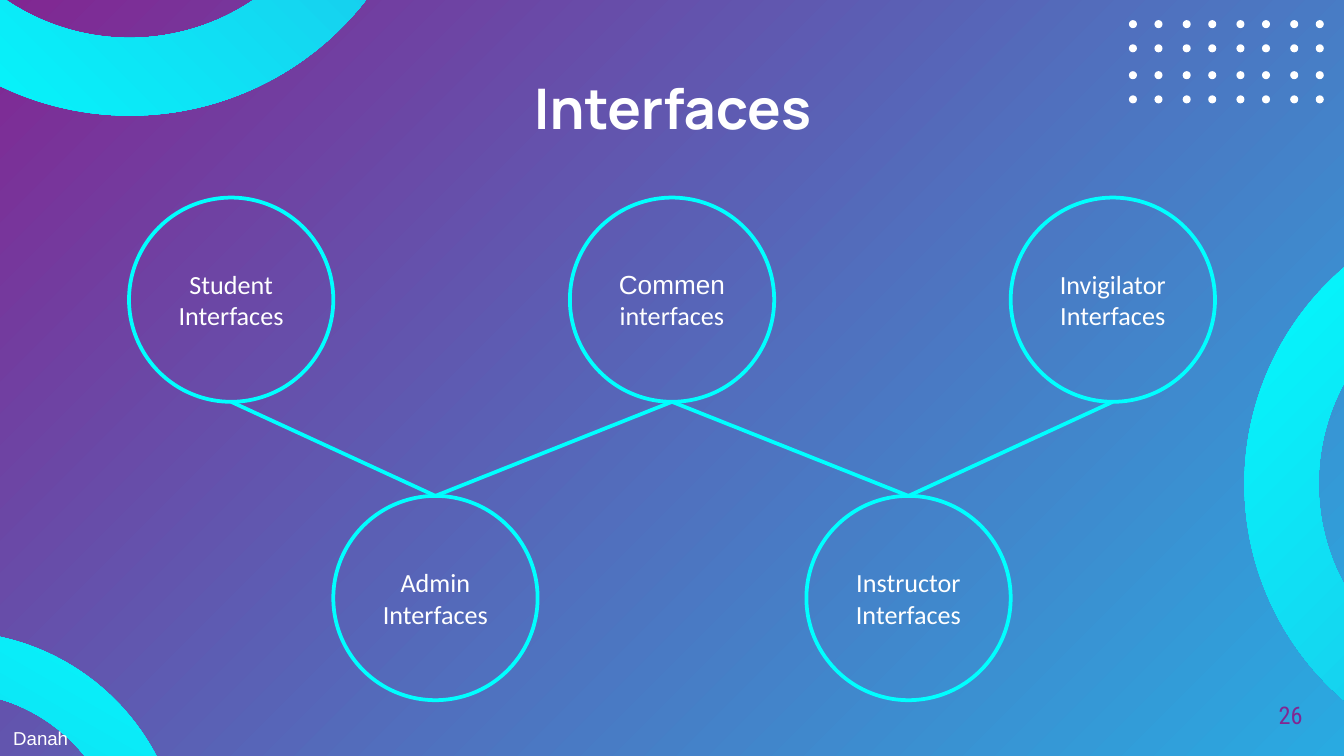
from dataclasses import dataclass
from itertools import product

from pptx import Presentation
from pptx.dml.color import RGBColor
from pptx.enum.shapes import MSO_CONNECTOR, MSO_SHAPE
from pptx.enum.text import MSO_ANCHOR, MSO_AUTO_SIZE, PP_ALIGN
from pptx.oxml.ns import qn
from pptx.util import Inches, Pt
from lxml.etree import SubElement


@dataclass(frozen=True)
class Theme:
    white: str = "FFFFFF"
    purple: str = "812792"
    blue: str = "29AAE1"
    cyan: str = "00FFFF"
    title_font: str = "Manrope"
    label_font: str = "Calibri"
    plain_font: str = "Arial"
    number_font: str = "Roboto Condensed"
    title_size: int = 30
    label_size: int = 14
    number_size: int = 13
    author_size: int = 10
    line_width: int = 2


def set_text(frame, runs, size, color, align=PP_ALIGN.LEFT, bold=False,
             anchor=MSO_ANCHOR.TOP, insets=(0.1, 0.1), wrap=True):
    """Write (text, font) runs as one paragraph; insets are (sides, top and bottom)."""
    frame.auto_size = MSO_AUTO_SIZE.NONE
    frame.word_wrap = wrap
    frame.vertical_anchor = anchor
    frame.margin_left = frame.margin_right = Inches(insets[0])
    frame.margin_top = frame.margin_bottom = Inches(insets[1])
    paragraph = frame.paragraphs[0]
    paragraph.alignment = align
    for text, font_name in runs:
        run = paragraph.add_run()
        run.text = text
        run.font.name = font_name
        run.font.size = Pt(size)
        run.font.bold = bold
        run.font.color.rgb = RGBColor.from_string(color)


def set_gradient(fill, start, end, clockwise_angle):
    fill.gradient()
    fill.gradient_angle = 360 - clockwise_angle
    for stop, color in zip(fill.gradient_stops, (start, end)):
        stop.color.rgb = RGBColor.from_string(color)


class SlideBuilder:
    def __init__(self, slide, theme):
        self.slide = slide
        self.shapes = slide.shapes
        self.theme = theme

    def background(self):
        set_gradient(self.slide.background.fill, self.theme.purple, self.theme.blue, 45)

    def shape(self, kind, left, top, size):
        shape = self.shapes.add_shape(
            kind, Inches(left), Inches(top), Inches(size), Inches(size))
        shape.shadow.inherit = False
        return shape

    def ring(self, left, top, size, rotation):
        ring = self.shape(MSO_SHAPE.DONUT, left, top, size)
        ring.adjustments[0] = 0.13
        ring.rotation = rotation
        ring.line.fill.background()
        set_gradient(ring.fill, self.theme.cyan, self.theme.blue, 135)

    def dot(self, left, top):
        dot = self.shape(MSO_SHAPE.OVAL, left, top, 0.06)
        dot.fill.solid()
        dot.fill.fore_color.rgb = RGBColor.from_string(self.theme.white)
        dot.line.fill.background()

    def outline(self, line):
        line.color.rgb = RGBColor.from_string(self.theme.cyan)
        line.width = Pt(self.theme.line_width)

    def circle(self, left, top, size, runs):
        circle = self.shape(MSO_SHAPE.OVAL, left, top, size)
        circle.fill.background()
        self.outline(circle.line)
        set_text(circle.text_frame, runs, self.theme.label_size, self.theme.white,
                 align=PP_ALIGN.CENTER, anchor=MSO_ANCHOR.MIDDLE, insets=(0.07, 0.04))
        return circle

    def link(self, upper, lower):
        """Join the bottom of the upper circle to the top of the lower one."""
        connector = self.shapes.add_connector(
            MSO_CONNECTOR.STRAIGHT,
            upper.left + upper.width // 2, upper.top + upper.height,
            lower.left + lower.width // 2, lower.top)
        connector.end_connect(lower, 0)
        self.outline(connector.line)
        SubElement(connector._element.spPr, qn("a:effectLst"))

    def title(self, text, left, top, width, height):
        title = self.shapes.title
        title.left, title.top = Inches(left), Inches(top)
        title.width, title.height = Inches(width), Inches(height)
        set_text(title.text_frame, [(text, self.theme.title_font)],
                 self.theme.title_size, self.theme.white,
                 align=PP_ALIGN.CENTER, bold=True)

    def text(self, runs, left, top, width, height, **text_format):
        box = self.shapes.add_textbox(
            Inches(left), Inches(top), Inches(width), Inches(height))
        set_text(box.text_frame, runs, **text_format)


def main():
    presentation = Presentation()
    presentation.slide_width = Inches(10)
    presentation.slide_height = presentation.slide_width * 9 // 16
    theme = Theme()
    slide = presentation.slides.add_slide(presentation.slide_layouts[5])
    builder = SlideBuilder(slide, theme)

    builder.background()
    builder.ring(-1.26, -3.59, 4.45, 180)
    builder.ring(9.26, 1.48, 4.24, 270)
    builder.ring(-2.09, 4.7, 3.45, 345)

    # The dots stand in 2 by 2 clusters.
    for column, row in product(range(8), range(4)):
        builder.dot(8.4 + column // 2 * 0.4 + column % 2 * 0.19,
                    0.15 + row // 2 * 0.38 + row % 2 * 0.18)

    builder.title("Interfaces", 0.79, 0.45, 8.43, 0.66)

    diameter = 1.52
    label = theme.label_font
    upper_labels = (
        [("Student Interfaces", label)],
        [("Commen", theme.plain_font), (" interfaces", label)],
        [("Invigilator Interfaces", label)],
    )
    lower_labels = ([("Admin Interfaces", label)], [("Instructor Interfaces", label)])
    student, common, invigilator = [
        builder.circle(0.96 + index * 3.28, 1.47, diameter, runs)
        for index, runs in enumerate(upper_labels)]
    admin, instructor = [
        builder.circle(2.48 + index * 3.52, 3.69, diameter, runs)
        for index, runs in enumerate(lower_labels)]
    for upper, lower in ((student, admin), (common, admin),
                         (common, instructor), (invigilator, instructor)):
        builder.link(upper, lower)

    builder.text([("Danah", theme.plain_font)], 0, 5.36, 0.69, 0.27,
                 size=theme.author_size, color=theme.white,
                 insets=(0.1, 0.05), wrap=False)
    builder.text([("26", theme.number_font)], 9.19, 5.11, 0.6, 0.43,
                 size=theme.number_size, color=theme.purple, align=PP_ALIGN.RIGHT)

    presentation.save("out.pptx")


if __name__ == "__main__":
    main()
